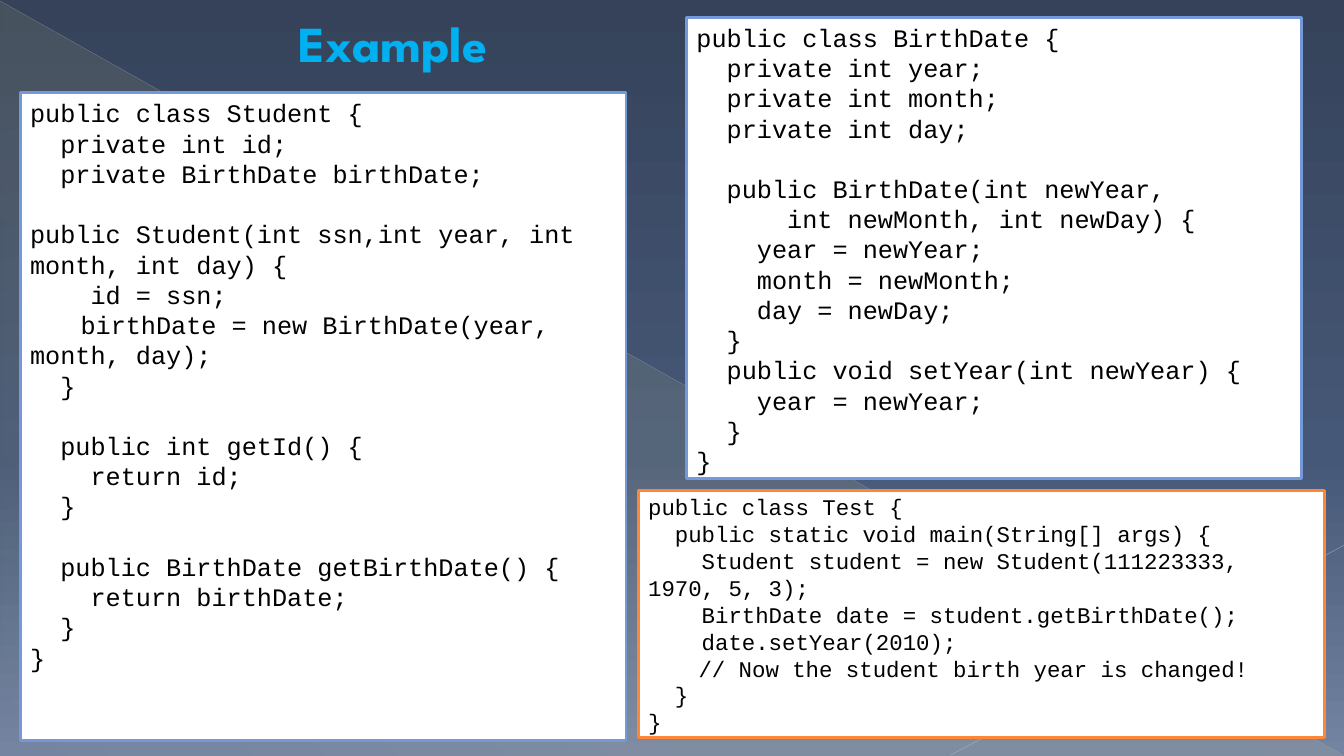
from lxml.etree import SubElement
from pptx import Presentation
from pptx.dml.color import RGBColor
from pptx.enum.shapes import MSO_CONNECTOR as CONN, MSO_SHAPE as SHAPE
from pptx.enum.text import MSO_ANCHOR as ANCHOR, MSO_AUTO_SIZE as AUTO, PP_ALIGN as ALIGN
from pptx.oxml.ns import qn
from pptx.util import Inches, Pt

# Content: a blank line in the code separates its sections
TITLE = "Example"

STUDENT = """public class Student {
  private int id;
  private BirthDate birthDate;

public Student(int ssn,int year, int month, int day) {
    id = ssn;
\tbirthDate = new BirthDate(year, month, day);
  }

  public int getId() {
    return id;
  }

  public BirthDate getBirthDate() {
    return birthDate;
  }
}"""

BIRTH_DATE = """public class BirthDate {
  private int year;
  private int month;
  private int day;

  public BirthDate(int newYear,
      int newMonth, int newDay) {
    year = newYear;
    month = newMonth;
    day = newDay;
  }
  public void setYear(int newYear) {
    year = newYear;
  }
}"""

TEST = """public class Test {
  public static void main(String[] args) {
    Student student = new Student(111223333, 1970, 5, 3);
    BirthDate date = student.getBirthDate();
    date.setYear(2010);
\t// Now the student birth year is changed!
  }
}"""

# code, box (left, top, width, height), border, text size, anchor
PANELS = [
    (STUDENT, (0.2, 0.92, 6.01, 6.43), "7598D9", 18, ANCHOR.TOP),
    (BIRTH_DATE, (6.81, 0.17, 6.1, 4.58), "7598D9", 18, ANCHOR.TOP),
    (TEST, (6.33, 4.87, 6.81, 2.45), "FE8637", 16, ANCHOR.MIDDLE),
]
LINE_PITCH = 1.2

# Gradient stops: position %, colour, opacity %
BACKDROP = [(0, "35425A", 100), (60, "465877", 100), (100, "7383A2", 100)]
GLOW = [(0, "FFF39D", 10), (70, "FFF39D", 8), (100, "FFF39D", 1)]

# start, end, colour, width, opacity %
RAYS = [
    ((0, 0.01), (13.32, 7.49), "BABDC4", 0.39, 35),
    ((13.33, 5.41), (9.43, 7.49), "C1C4CA", 0.47, 45),
]


def rgb(value):
    return RGBColor.from_string(value)


def box(values):
    return [Inches(v) for v in values]


def assign(target, values):
    for name, value in values.items():
        setattr(target, name, value)


def set_alpha(color, percent):
    SubElement(color, qn("a:alpha"), val=str(percent * 1000))


def set_gradient(fill, owner, stops, angle):
    fill.gradient()
    grad = owner.find(".//" + qn("a:gradFill"))
    stop_list = grad.find(qn("a:gsLst"))
    for old in list(stop_list):
        stop_list.remove(old)
    for pos, value, opacity in stops:
        gs = SubElement(stop_list, qn("a:gs"), pos=str(pos * 1000))
        color = SubElement(gs, qn("a:srgbClr"), val=value)
        if opacity < 100:
            set_alpha(color, opacity)
    grad.find(qn("a:lin")).set("ang", str(angle * 60000))


prs = Presentation()
prs.slide_width, prs.slide_height = Inches(13.33), Inches(7.5)
slide = prs.slides.add_slide(prs.slide_layouts[5])
shapes = slide.shapes

# Background, glow triangle and rays
set_gradient(slide.background.fill, slide.element, BACKDROP, 90)
glow = shapes.add_shape(SHAPE.RIGHT_TRIANGLE, *box((0.01, 0.02, 13.31, 7.48)))
glow.shadow.inherit = False
glow.line.fill.background()
set_gradient(glow.fill, glow.element, GLOW, 133)

for start, end, color, width, opacity in RAYS:
    ray = shapes.add_connector(CONN.STRAIGHT, *box(start + end))
    ray.line.color.rgb = rgb(color)
    ray.line.width = Pt(width)
    sp_pr = ray.element.spPr
    set_alpha(sp_pr.find(".//" + qn("a:srgbClr")), opacity)
    SubElement(sp_pr, qn("a:effectLst"))

# Title, brought in front of the backdrop
title = shapes.title
shapes.element.append(title.element)
assign(title, dict(zip(("left", "top", "width", "height"), box((2.33, 0.17, 3.75, 0.5)))))
tf = title.text_frame
assign(tf, {"auto_size": AUTO.NONE, "vertical_anchor": ANCHOR.MIDDLE, "word_wrap": True})
p = tf.paragraphs[0]
p.alignment = ALIGN.LEFT
p_pr = p._p.get_or_add_pPr()
p_pr.set("marL", str(Inches(0.53)))
p_pr.set("indent", "0")
r = p.add_run()
r.text = TITLE
assign(r.font, {"name": "League Spartan", "size": Pt(36), "bold": True})
r.font.color.rgb = rgb("00B0F0")
outline = SubElement(r.font._element, qn("a:ln"), w=str(Pt(0.5)))
SubElement(SubElement(outline, qn("a:solidFill")), qn("a:srgbClr"), val="B05D26")
r.font._element.insert(0, outline)

# Code panels
for code, place, border, size, anchor in PANELS:
    s = shapes.add_shape(SHAPE.RECTANGLE, *box(place))
    s.shadow.inherit = False
    s.fill.solid()
    s.fill.fore_color.rgb = rgb("FFFFFF")
    s.line.color.rgb = rgb(border)
    s.line.width = Pt(2)
    tf = s.text_frame
    assign(tf, {"word_wrap": True, "vertical_anchor": anchor})
    pitch = Pt(size * LINE_PITCH)
    for i, section in enumerate(code.split("\n\n")):
        p = tf.add_paragraph() if i else tf.paragraphs[0]
        p.text = section
        assign(p, {"alignment": ALIGN.LEFT, "line_spacing": pitch,
                   "space_before": pitch if i else Pt(0)})
        for r in p.runs:
            assign(r.font, {"name": "Courier New", "size": Pt(size)})
            r.font.color.rgb = rgb("000000")

prs.save("out.pptx")
